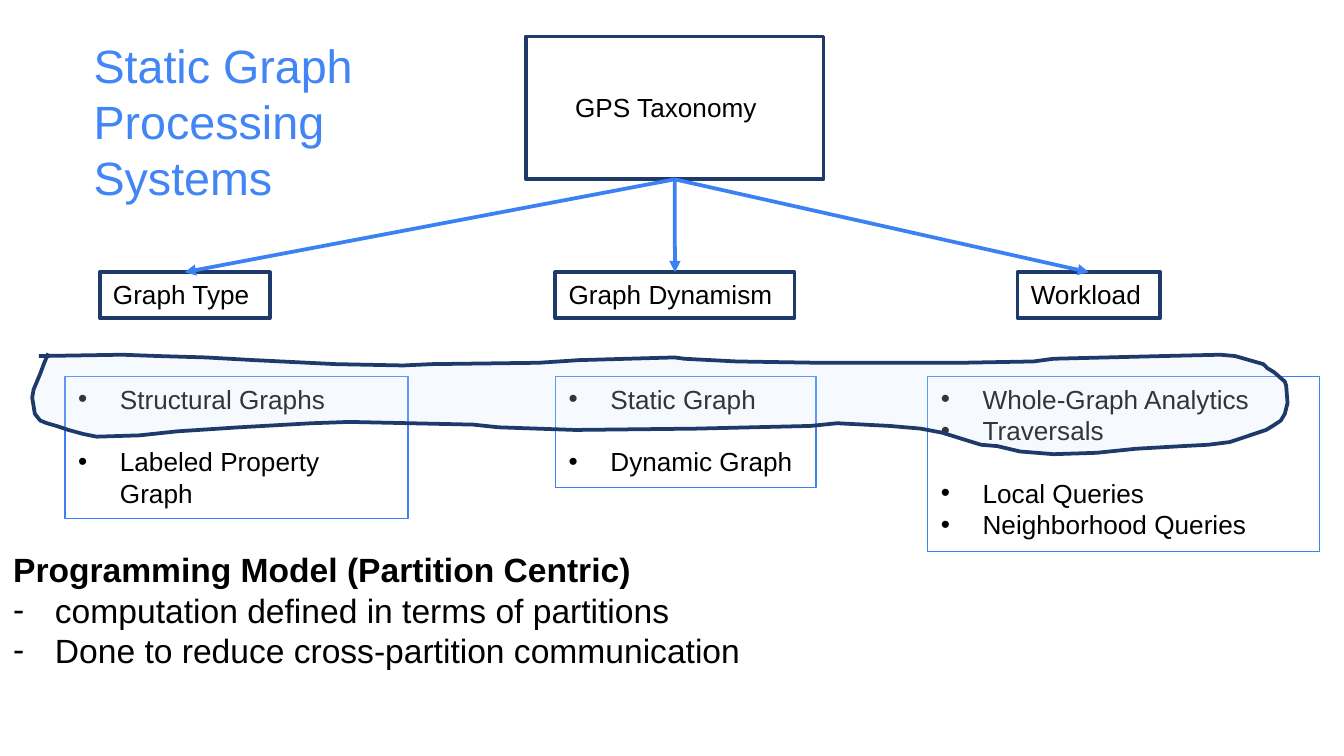
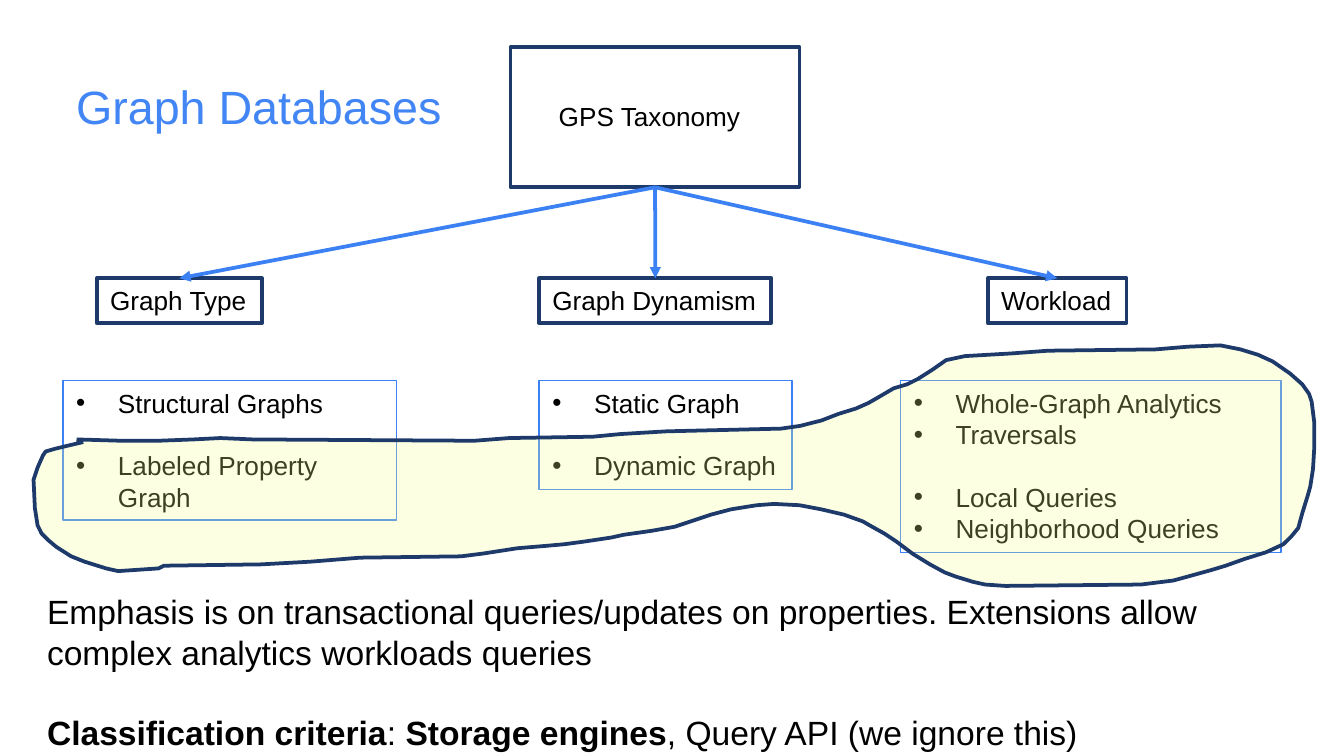
from dataclasses import dataclass
from typing import Any

import lxml.etree
import pptx
import pptx.dml.color
import pptx.enum.shapes
import pptx.enum.text
import pptx.oxml.ns
import pptx.util
from pptx.util import Cm

qn = pptx.oxml.ns.qn


@dataclass(frozen=True)
class Theme:
    font: str = "Arial"
    text: str = "000000"
    title: str = "4285F4"
    dark_line: str = "1D3A6B"
    light_line: str = "3C81F3"
    title_size: int = 25
    body_size: int = 18
    label_size: int = 14
    thick: float = 2
    thin: float = 0.75
    leading: float = 1.2
    indent: float = 0.79


THEME = Theme()


@dataclass(frozen=True)
class Box:
    """A rectangle in centimetres."""
    left: float
    top: float
    width: float
    height: float


@dataclass(frozen=True)
class Line:
    """One paragraph; words between ** marks are bold, gap counts empty lines above."""
    text: str
    bullet: str = ""
    gap: int = 0


@dataclass(frozen=True)
class Branch:
    label: str
    label_box: Box
    list_box: Box
    lines: tuple[Line, ...]


@dataclass(frozen=True)
class Placement:
    """How the shared taxonomy is scaled and moved on a slide."""
    scale_x: float = 1
    scale_y: float = 1
    shift_y: float = 0

    def place(self, box: Box) -> Box:
        return Box(box.left * self.scale_x, box.top * self.scale_y + self.shift_y,
                   box.width * self.scale_x, box.height * self.scale_y)


@dataclass(frozen=True)
class Highlight:
    """An open hand-drawn outline; points are in hundredths of an inch."""
    color: str
    opacity: int
    points: tuple[tuple[int, int], ...]


@dataclass(frozen=True)
class TaxonomySlide:
    title: str
    title_box: Box
    summary: tuple[Line, ...]
    summary_box: Box
    placement: Placement
    highlight: Highlight


ROOT_BOX = Box(9.65, 0.89, 5.46, 2.65)
ROOT_LABEL_BOX = Box(10.31, 1.78, 4.17, 0.86)
LABEL_TOP, LABEL_HEIGHT, LIST_TOP = 5.26, 0.85, 7.19
BRANCHES = (
    Branch("Graph Type", Box(1.83, LABEL_TOP, 3.12, LABEL_HEIGHT),
           Box(1.19, LIST_TOP, 6.3, 2.64),
           (Line("Structural Graphs", "•"),
            Line("Labeled Property Graph", "•", 1))),
    Branch("Graph Dynamism", Box(10.19, LABEL_TOP, 4.39, LABEL_HEIGHT),
           Box(10.19, LIST_TOP, 4.78, 2.06),
           (Line("Static Graph", "•"), Line("Dynamic Graph", "•", 1))),
    Branch("Workload", Box(18.67, LABEL_TOP, 2.62, LABEL_HEIGHT),
           Box(17.02, LIST_TOP, 7.19, 3.25),
           (Line("Whole-Graph Analytics", "•"), Line("Traversals", "•"),
            Line("Local Queries", "•", 1), Line("Neighborhood Queries", "•"))),
)

STATIC_HIGHLIGHT = Highlight("D9E7FD", 23, (
    (36, 263), (33, 270), (30, 278), (25, 290), (24, 296), (26, 308), (30, 313),
    (35, 315), (42, 317), (51, 320), (62, 323), (72, 325), (104, 324), (132, 321),
    (178, 318), (232, 315), (260, 314), (352, 316), (371, 318), (428, 320),
    (518, 319), (603, 317), (623, 315), (662, 317), (685, 319), (701, 322),
    (717, 327), (730, 331), (742, 332), (759, 336), (784, 338), (816, 337),
    (845, 334), (880, 332), (899, 331), (915, 329), (924, 326), (942, 320),
    (947, 317), (953, 313), (956, 308), (958, 300), (957, 287), (956, 284),
    (948, 277), (943, 274), (940, 271), (926, 267), (919, 265), (908, 264),
    (865, 265), (784, 267), (769, 269), (715, 270), (609, 270), (548, 269),
    (509, 267), (502, 266), (431, 268), (401, 270), (321, 271), (300, 272),
    (250, 271), (189, 268), (153, 266), (118, 265), (91, 264), (29, 265)))

DATABASE_HIGHLIGHT = Highlight("F5FF8D", 25, (
    (62, 329), (49, 332), (41, 334), (34, 336), (32, 339), (28, 348), (25, 357),
    (26, 378), (28, 391), (31, 397), (36, 402), (42, 407), (53, 414), (63, 418),
    (79, 423), (88, 425), (118, 423), (122, 421), (194, 420), (231, 418),
    (268, 415), (343, 414), (359, 412), (385, 408), (409, 406), (420, 405),
    (435, 403), (455, 400), (464, 398), (485, 395), (502, 392), (514, 388),
    (529, 383), (544, 379), (563, 376), (576, 375), (595, 376), (611, 379),
    (628, 383), (642, 388), (649, 392), (658, 397), (667, 403), (679, 412),
    (692, 420), (703, 426), (711, 429), (724, 433), (733, 435), (748, 436),
    (849, 435), (873, 432), (884, 429), (902, 424), (912, 421), (926, 416),
    (942, 411), (955, 405), (961, 399), (966, 393), (969, 382), (973, 369),
    (975, 362), (977, 349), (978, 332), (978, 315), (976, 299), (974, 293),
    (969, 286), (960, 278), (947, 269), (936, 264), (923, 260), (908, 257),
    (884, 258), (860, 260), (780, 261), (753, 263), (718, 265), (704, 268),
    (694, 275), (683, 282), (675, 286), (665, 289), (653, 296), (646, 300),
    (637, 304), (624, 308), (611, 313), (595, 317), (581, 319), (496, 321),
    (462, 323), (441, 325), (379, 326), (353, 328), (188, 327), (164, 326),
    (144, 327), (118, 328), (90, 328), (57, 327)))

SLIDES = (
    TaxonomySlide(
        "Static Graph Processing Systems", Box(1.52, 0.58, 6.22, 3.45),
        (Line("**Programming Model (Partition Centric)**"),
         Line("computation defined in terms of partitions", "-"),
         Line("Done to reduce cross-partition communication", "-")),
        Box(0, 10.26, 24.92, 3.33),
        Placement(1.03, 1.02, -0.22), STATIC_HIGHLIGHT),
    TaxonomySlide(
        "Graph Databases", Box(1.19, 1.35, 7.49, 1.32),
        (Line("Emphasis is on transactional queries/updates on properties. "
              "Extensions allow complex analytics workloads queries"),
         Line("**Classification criteria**: **Storage engines**, "
              "Query API (we ignore this)", gap=1)),
        Box(0.64, 11.05, 24.21, 3.33),
        Placement(), DATABASE_HIGHLIGHT),
)


def rgb(color: str) -> pptx.dml.color.RGBColor:
    return pptx.dml.color.RGBColor.from_string(color)


def apply_format(target: Any, values: dict[str, Any]) -> None:
    for name, value in values.items():
        setattr(target, name, value)


def lengths(box: Box) -> tuple[Cm, Cm, Cm, Cm]:
    return Cm(box.left), Cm(box.top), Cm(box.width), Cm(box.height)


def set_line(shape: Any, color: str, width: float) -> None:
    shape.line.color.rgb = rgb(color)
    shape.line.width = pptx.util.Pt(width)


def add_bullet(paragraph: Any, character: str) -> None:
    properties = paragraph._p.get_or_add_pPr()
    indent = Cm(THEME.indent)
    properties.set("marL", str(indent))
    properties.set("indent", str(-indent))
    bullet_color = lxml.etree.SubElement(properties, qn("a:buClr"))
    lxml.etree.SubElement(bullet_color, qn("a:srgbClr"), val=THEME.text)
    lxml.etree.SubElement(properties, qn("a:buFont"), typeface=THEME.font)
    lxml.etree.SubElement(properties, qn("a:buChar"), char=character)


def write_lines(shape: Any, lines: tuple[Line, ...], size: int,
                color: str = THEME.text, tight: bool = False) -> None:
    """Fill a shape with paragraphs; tight drops the right margin."""
    frame = shape.text_frame
    apply_format(frame, {
        "word_wrap": True,
        "vertical_anchor": pptx.enum.text.MSO_ANCHOR.TOP,
        "margin_right": Cm(0 if tight else 0.25),
    })
    leading = pptx.util.Pt(size * THEME.leading)
    for index, line in enumerate(lines):
        paragraph = frame.add_paragraph() if index else frame.paragraphs[0]
        if line.bullet:
            add_bullet(paragraph, line.bullet)
        apply_format(paragraph, {"alignment": pptx.enum.text.PP_ALIGN.LEFT,
                                 "line_spacing": leading})
        if line.gap:
            paragraph.space_before = leading * line.gap
        for part, words in enumerate(line.text.split("**")):
            if words:
                run = paragraph.add_run()
                run.text = words
                apply_format(run.font, {"name": THEME.font, "bold": part % 2 == 1,
                                        "size": pptx.util.Pt(size)})
                run.font.color.rgb = rgb(color)


def add_text(slide: Any, box: Box, lines: tuple[Line, ...], size: int,
             color: str = THEME.text, tight: bool = False) -> None:
    write_lines(slide.shapes.add_textbox(*lengths(box)), lines, size, color, tight)


def add_frame(slide: Any, box: Box, color: str, width: float) -> Any:
    shape = slide.shapes.add_shape(pptx.enum.shapes.MSO_SHAPE.RECTANGLE, *lengths(box))
    shape.shadow.inherit = False
    shape.fill.background()
    set_line(shape, color, width)
    return shape


def add_arrow(slide: Any, parent: Any, child: Any) -> None:
    """Join the bottom of parent to the top of child."""
    arrow = slide.shapes.add_connector(pptx.enum.shapes.MSO_CONNECTOR.STRAIGHT, 0, 0, 0, 0)
    arrow.begin_connect(parent, 2)
    arrow.end_connect(child, 0)
    set_line(arrow, THEME.light_line, THEME.thick)
    properties = arrow._element.spPr
    lxml.etree.SubElement(properties.find(qn("a:ln")), qn("a:tailEnd"), type="triangle")
    lxml.etree.SubElement(properties, qn("a:effectLst"))


def add_taxonomy(slide: Any, placement: Placement) -> None:
    root = add_frame(slide, placement.place(ROOT_BOX), THEME.dark_line, THEME.thick)
    add_text(slide, placement.place(ROOT_LABEL_BOX), (Line("GPS Taxonomy"),),
             THEME.label_size)
    labels = []
    for branch in BRANCHES:
        label = add_frame(slide, placement.place(branch.label_box),
                          THEME.dark_line, THEME.thick)
        write_lines(label, (Line(branch.label),), THEME.label_size, tight=True)
        labels.append(label)
    for label in labels:
        add_arrow(slide, root, label)
    for branch in BRANCHES:
        choices = add_frame(slide, placement.place(branch.list_box),
                            THEME.light_line, THEME.thin)
        write_lines(choices, branch.lines, THEME.label_size)


def add_highlight(slide: Any, highlight: Highlight) -> None:
    start, *rest = highlight.points
    builder = slide.shapes.build_freeform(*start, scale=Cm(2.54) / 100)
    builder.add_line_segments(rest, close=False)
    shape = builder.convert_to_shape()
    shape.shadow.inherit = False
    shape.fill.solid()
    shape.fill.fore_color.rgb = rgb(highlight.color)
    fill_color = shape._element.spPr.find(qn("a:solidFill")).find(qn("a:srgbClr"))
    lxml.etree.SubElement(fill_color, qn("a:alpha"), val=str(highlight.opacity * 1000))
    set_line(shape, THEME.dark_line, THEME.thick)


def add_taxonomy_slide(presentation: Any, content: TaxonomySlide) -> None:
    slide = presentation.slides.add_slide(presentation.slide_layouts[6])
    add_taxonomy(slide, content.placement)
    add_highlight(slide, content.highlight)
    add_text(slide, content.title_box, (Line(content.title),), THEME.title_size,
             THEME.title, tight=True)
    add_text(slide, content.summary_box, content.summary, THEME.body_size)


def main() -> None:
    presentation = pptx.Presentation()
    apply_format(presentation, {"slide_width": Cm(25.4), "slide_height": Cm(14.29)})
    for content in SLIDES:
        add_taxonomy_slide(presentation, content)
    presentation.save("out.pptx")


if __name__ == "__main__":
    main()
